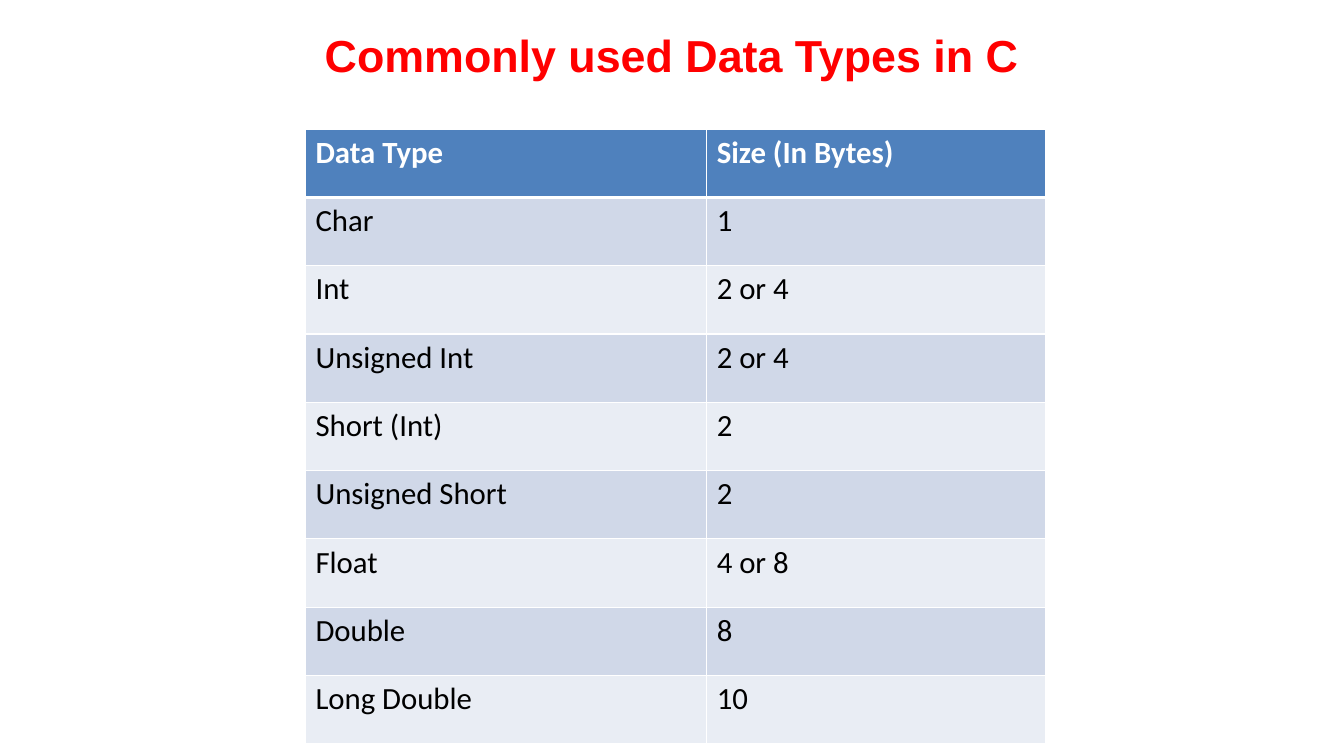
from lxml.etree import SubElement
from pptx import Presentation
from pptx.dml.color import RGBColor
from pptx.enum.text import MSO_ANCHOR, PP_ALIGN
from pptx.oxml.ns import qn
from pptx.util import Pt

TITLE = "Commonly used Data Types in C"
ROWS = [
    ("Data Type", "Size (In Bytes)"),
    ("Char", "1"),
    ("Int", "2 or 4"),
    ("Unsigned Int", "2 or 4"),
    ("Short (Int)", "2"),
    ("Unsigned Short", "2"),
    ("Float", "4 or 8"),
    ("Double", "8"),
    ("Long Double", "10"),
]
COLORS = {
    "title": "FF0000",
    "header": "4F81BD",
    "header_text": "FFFFFF",
    "odd": "D0D8E8",
    "even": "E9EDF4",
    "text": "000000",
    "border": "FFFFFF",
}
TITLE_BOX = (156, 6, 648, 66)
TABLE_LEFT, TABLE_TOP = 218.2, 92.2
COL_WIDTHS = (286.6, 241.9)
ROW_HEIGHT = 48.8
THIN, THICK = 1, 3


def write(tf, text, *, size, font, color, bold=False, align=PP_ALIGN.LEFT):
    p = tf.paragraphs[0]
    p.alignment = align
    r = p.add_run()
    r.text = text
    r.font.size = Pt(size)
    r.font.name = font
    r.font.bold = bold
    r.font.color.rgb = RGBColor.from_string(COLORS[color])


def set_borders(cell, top, bottom):
    """Draw all four cell borders; call before filling, as the schema wants lines first."""
    tcPr = cell._tc.get_or_add_tcPr()
    for side, width in (("L", THIN), ("R", THIN), ("T", top), ("B", bottom)):
        ln = SubElement(tcPr, qn(f"a:ln{side}"), w=str(Pt(width)))
        fill = SubElement(ln, qn("a:solidFill"))
        SubElement(fill, qn("a:srgbClr"), val=COLORS["border"])


def add_title(s):
    title = s.shapes.title
    title.left, title.top, title.width, title.height = map(Pt, TITLE_BOX)
    tf = title.text_frame
    tf.margin_left = tf.margin_top = tf.margin_right = tf.margin_bottom = 0
    tf.vertical_anchor = MSO_ANCHOR.MIDDLE
    tf.word_wrap = True
    write(tf, TITLE, size=32, font="Arial", color="title", bold=True,
          align=PP_ALIGN.CENTER)


def add_type_table(s):
    table = s.shapes.add_table(
        len(ROWS), len(COL_WIDTHS), Pt(TABLE_LEFT), Pt(TABLE_TOP),
        Pt(sum(COL_WIDTHS)), Pt(ROW_HEIGHT * len(ROWS))).table
    for col, width in zip(table.columns, COL_WIDTHS):
        col.width = Pt(width)
    for i, row in enumerate(ROWS):
        table.rows[i].height = Pt(ROW_HEIGHT)
        header = i == 0
        shade = "header" if header else "odd" if i % 2 else "even"
        for j, text in enumerate(row):
            cell = table.cell(i, j)
            set_borders(cell, top=THICK if i == 1 else THIN,
                        bottom=THICK if header else THIN)
            cell.fill.solid()
            cell.fill.fore_color.rgb = RGBColor.from_string(COLORS[shade])
            write(cell.text_frame, text, size=22, font="Calibri", bold=header,
                  color="header_text" if header else "text")


def main():
    prs = Presentation()
    prs.slide_width, prs.slide_height = Pt(960), Pt(540)
    s = prs.slides.add_slide(prs.slide_layouts.get_by_name("Title Only"))
    add_title(s)
    add_type_table(s)
    prs.save("out.pptx")


if __name__ == "__main__":
    main()
